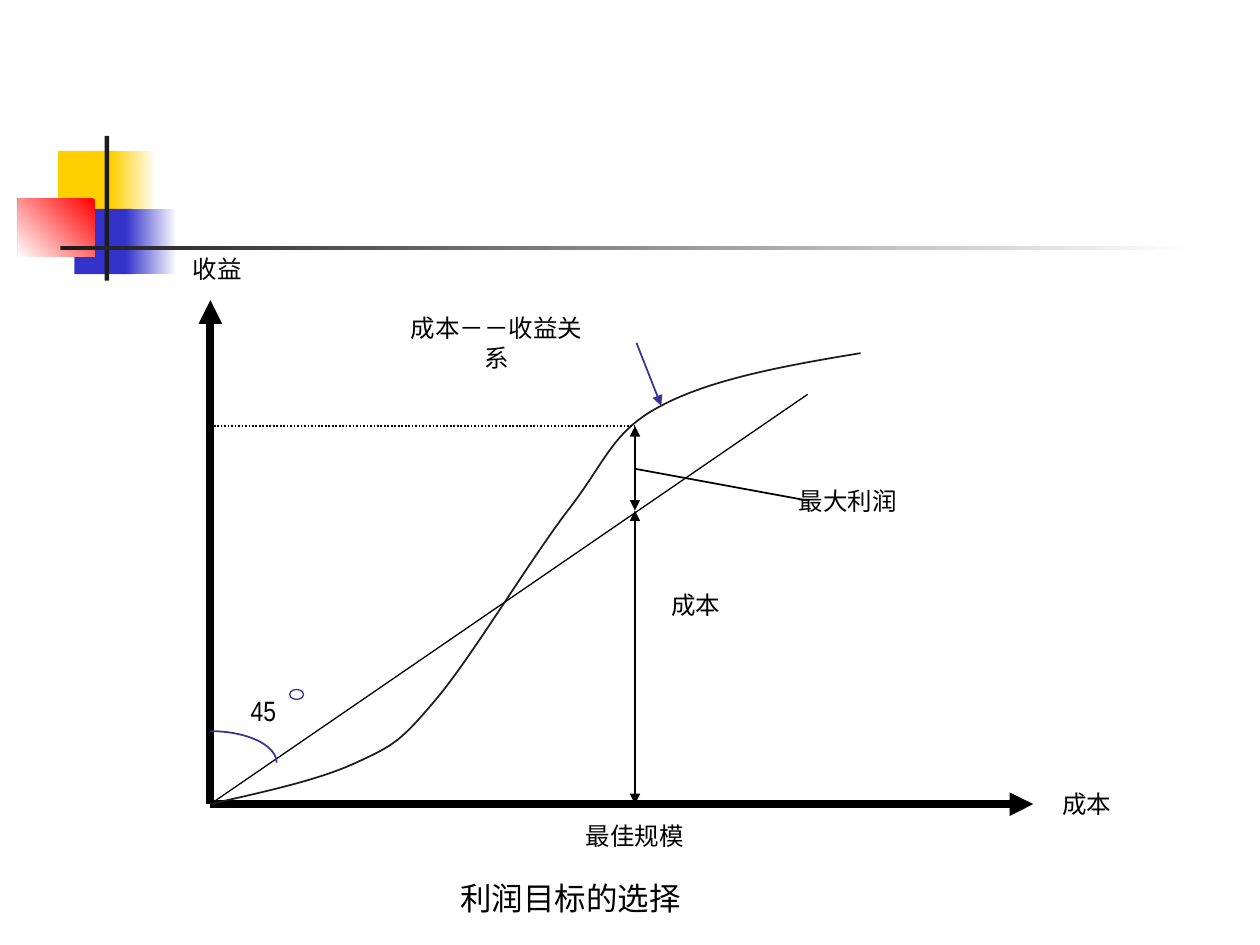
from lxml.etree import SubElement
from pptx import Presentation
from pptx.dml.color import RGBColor
from pptx.enum.dml import MSO_LINE_DASH_STYLE as Dash
from pptx.enum.shapes import MSO_CONNECTOR, MSO_SHAPE as Shape
from pptx.enum.text import MSO_ANCHOR, PP_ALIGN
from pptx.oxml.ns import qn
from pptx.util import Cm, Pt

BLACK = RGBColor(0x00, 0x00, 0x00)
CHARCOAL = RGBColor(0x1C, 0x1C, 0x1C)
WHITE = RGBColor(0xFF, 0xFF, 0xFF)
YELLOW = RGBColor(0xFF, 0xCF, 0x01)
BLUE = RGBColor(0x33, 0x33, 0xCC)
RED = RGBColor(0xFF, 0x00, 0x00)
INDIGO = RGBColor(0x33, 0x33, 0x99)
FONT = "Arial Narrow"


def add_block(slide, left, top, width, height, color, fade_angle=None):
    """Add a borderless rectangle, plain or fading to white along an angle."""
    sp = slide.shapes.add_shape(Shape.RECTANGLE, Cm(left), Cm(top), Cm(width), Cm(height))
    sp.shadow.inherit = False
    sp.line.fill.background()
    if fade_angle is None:
        sp.fill.solid()
        sp.fill.fore_color.rgb = color
    else:
        sp.fill.gradient()
        sp.fill.gradient_angle = fade_angle
        for stop, stop_color in zip(sp.fill.gradient_stops, (color, WHITE)):
            stop.color.rgb = stop_color


def add_ornament(slide, left, top):
    blocks = [
        (0.81, 0.3, 1.22, 1.32, YELLOW, None),
        (1.88, 0.3, 0.91, 1.32, YELLOW, 0),
        (1.14, 1.47, 1.17, 1.32, BLUE, None),
        (2.18, 1.47, 1.02, 1.32, BLUE, 0),
        (0, 1.27, 1.55, 1.17, RED, 225),
        (1.75, 0, 0.09, 2.92, CHARCOAL, None),
        (0.86, 2.21, 22.86, 0.09, CHARCOAL, 0),
    ]
    for x, y, width, height, color, fade_angle in blocks:
        add_block(slide, left + x, top + y, width, height, color, fade_angle)


def style_text(tf, text, size):
    tf.text = text
    tf.word_wrap = False
    tf.vertical_anchor = MSO_ANCHOR.MIDDLE
    p = tf.paragraphs[0]
    p.alignment = PP_ALIGN.CENTER
    p.font.size = Pt(size)
    p.font.name = FONT
    p.font.color.rgb = BLACK


class Graph:
    """Draws in centimetres right of and above the origin of the axes."""

    def __init__(self, slide, left, bottom):
        self.slide, self.left, self.bottom = slide, left, bottom

    def at(self, x, y):
        return Cm(self.left + x), Cm(self.bottom - y)

    def line(self, start, end, width=1, color=BLACK, arrows=(), dash=None):
        s = self.slide.shapes.add_connector(
            MSO_CONNECTOR.STRAIGHT, *self.at(*start), *self.at(*end))
        s.line.width = Pt(width)
        s.line.color.rgb = color
        if dash:
            s.line.dash_style = dash
        for end_tag in arrows:
            SubElement(s.line._get_or_add_ln(), qn(f"a:{end_tag}"), type="triangle")
        SubElement(s._element.spPr, qn("a:effectLst"))

    def curve(self, points, color=CHARCOAL):
        """Draw Bezier segments: a start, then two controls and an end for each."""
        start, *rest = [self.at(*point) for point in points]
        builder = self.slide.shapes.build_freeform(*start)
        builder.add_line_segments(rest, close=False)
        sp = builder.convert_to_shape()
        segments = sp._element.findall(".//" + qn("a:lnTo"))
        for i in range(0, len(segments), 3):
            first, *others = segments[i:i + 3]
            first.tag = qn("a:cubicBezTo")
            cubic = SubElement(first.getparent(), qn("a:cubicBezTo"))
            for segment in (first, *others):
                cubic.append(segment[0])
                segment.getparent().remove(segment)
        self.outline(sp, color, 1)

    def outline(self, sp, color, width):
        sp.shadow.inherit = False
        sp.fill.background()
        sp.line.color.rgb = color
        sp.line.width = Pt(width)

    def round_shape(self, kind, x, y, width, height, line_width):
        sp = self.slide.shapes.add_shape(kind, *self.at(x, y), Cm(width), Cm(height))
        self.outline(sp, INDIGO, line_width)

    def place_centred(self, sp, text, x, y, size):
        sp.width = Cm(0.51) + Pt(size) * len(text)
        sp.height = Cm(0.25) + Pt(size * 1.23)
        center_x, center_y = self.at(x, y)
        sp.left, sp.top = center_x - sp.width // 2, center_y - sp.height // 2
        style_text(sp.text_frame, text, size)

    def label(self, text, x, y, size=14):
        sp = self.slide.shapes.add_textbox(0, 0, 0, 0)
        self.place_centred(sp, text, x, y, size)


def add_profit_graph(slide, left, bottom):
    graph = Graph(slide, left, bottom)
    origin = (0, 0)
    best_x, revenue, cost = 8.56, 7.62, 5.92
    both = ("headEnd", "tailEnd")

    for tip in ((0, 10.16), (16.59, 0)):
        graph.line(origin, tip, width=4.5, arrows=["tailEnd"])
    graph.line(origin, (12.04, 8.26), width=0.75)
    graph.curve([
        origin,
        (1.09, 0.25), (2.18, 0.48), (2.95, 0.84),
        (3.71, 1.19), (3.84, 1.27), (4.55, 2.11),
        (5.26, 2.95), (6.45, 4.93), (7.21, 5.92),
        (7.98, 6.91), (8.1, 7.52), (9.09, 8.03),
        (10.08, 8.56), (11.58, 8.84), (13.11, 9.09),
    ])
    graph.line((0, revenue), (best_x, revenue), dash=Dash.ROUND_DOT)
    graph.round_shape(Shape.ARC, -1.33, 1.47, 2.67, 1.27, 1)
    graph.round_shape(Shape.OVAL, 1.6, 2.31, 0.28, 0.2, 0.75)
    graph.line((best_x, revenue), (best_x, cost), arrows=both)
    graph.line((best_x, cost), (best_x, 0), arrows=both)
    graph.line((best_x, 6.76), (12.04, 6.12))
    graph.line((8.59, 9.3), (9.09, 8.03), color=INDIGO, arrows=["tailEnd"])

    graph.label("45", 1.07, 1.89, size=16)
    graph.label("最佳规模", best_x, -0.64)
    graph.label("成本", 9.79, 4.01)
    graph.label("最大利润", 12.85, 6.12)
    graph.label("成本", 17.67, 0)
    graph.label("收益", 0.14, 10.8)
    graph.label("成本－－收益关系", 5.77, 9.3)
    graph.place_centred(slide.shapes.title, "利润目标的选择", 7.26, -1.9, 18)


def main():
    prs = Presentation()
    prs.slide_width, prs.slide_height = Cm(25.4), Cm(19.05)
    slide = prs.slides.add_slide(prs.slide_layouts[5])
    add_ornament(slide, 0.36, 2.74)
    add_profit_graph(slide, 4.24, 16.21)
    prs.save("out.pptx")


if __name__ == "__main__":
    main()
